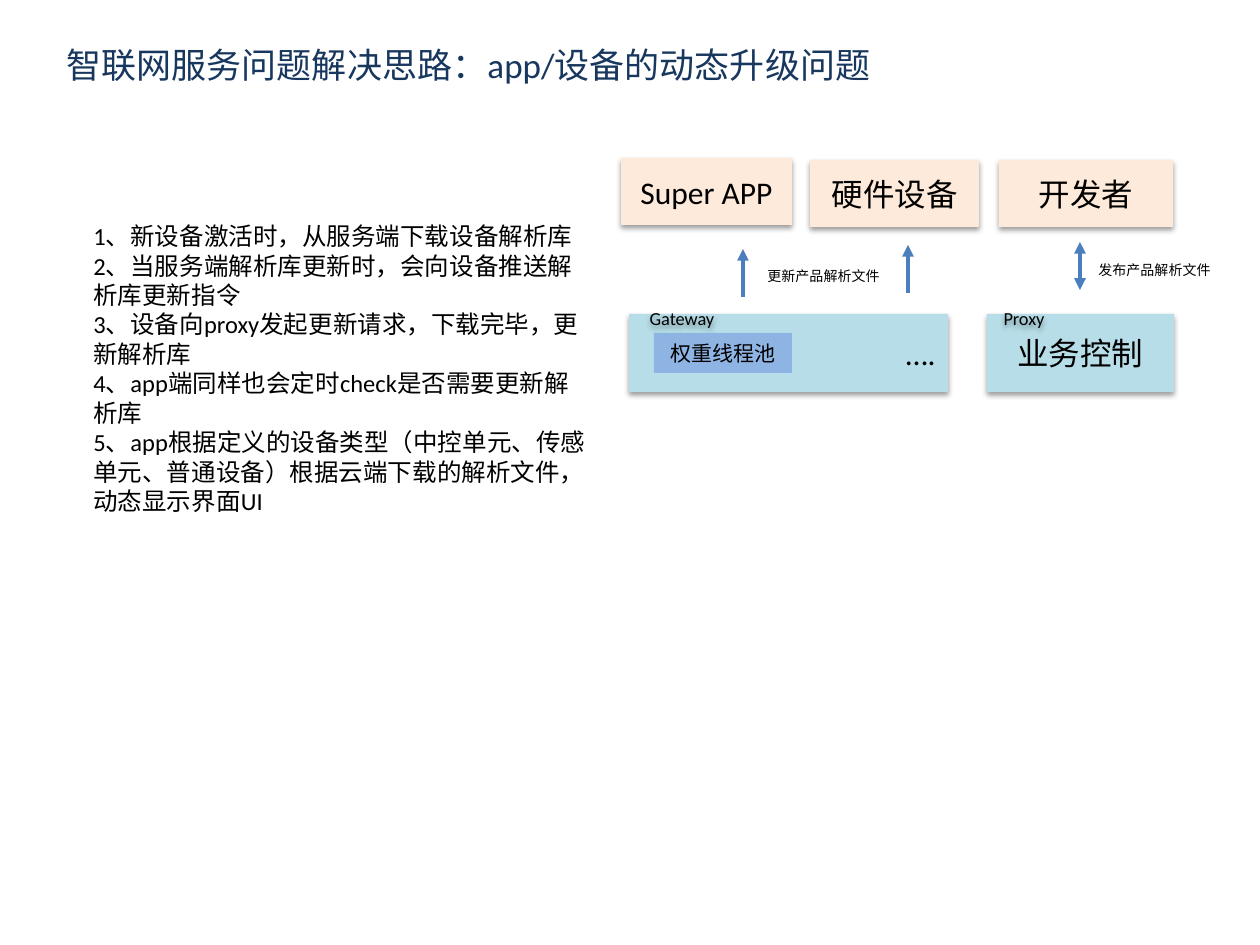
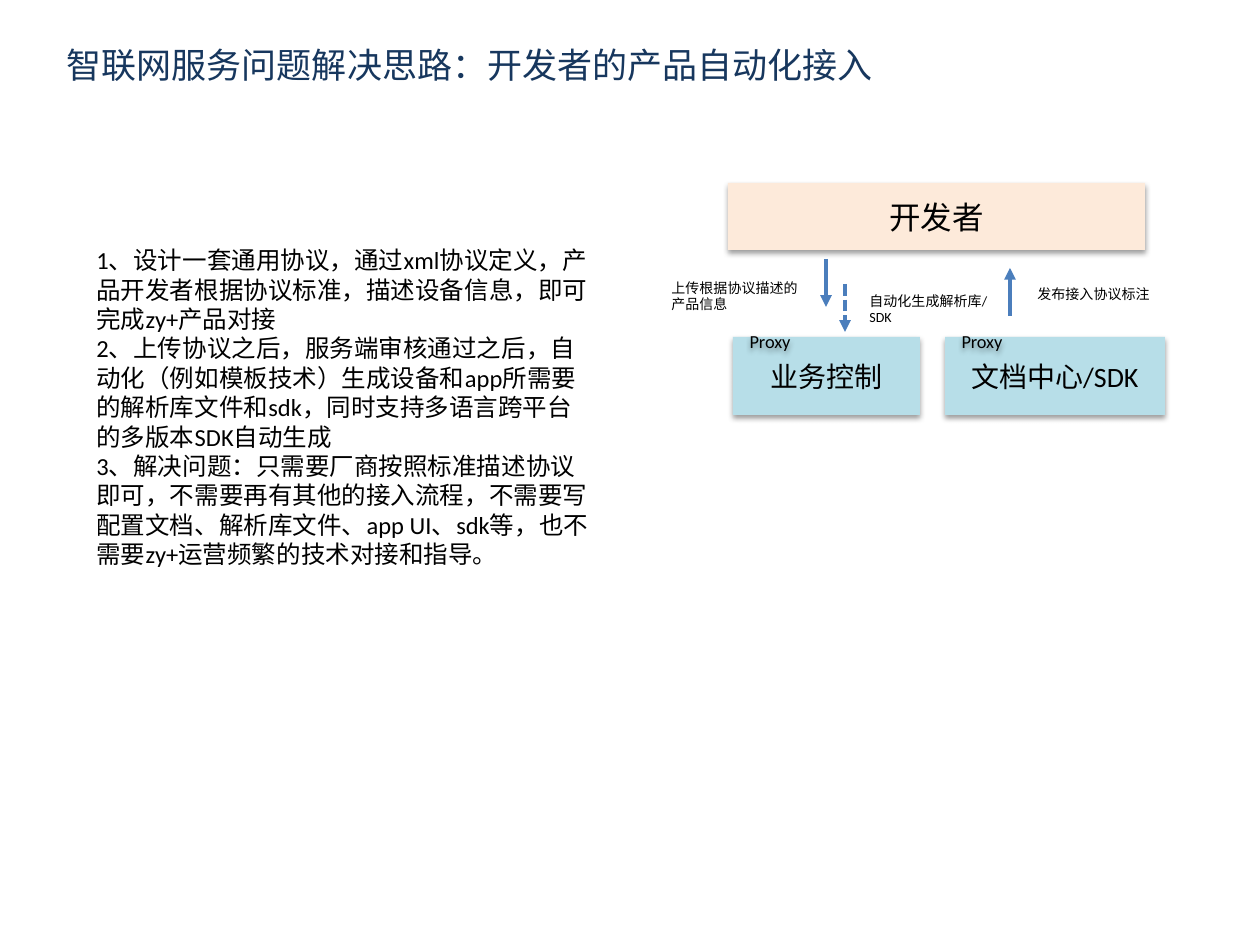
import pptx
import pptx.util
import pptx.dml.color
import pptx.enum.dml
import pptx.enum.lang
import pptx.enum.shapes
import pptx.enum.text
import pptx.oxml
import pptx.oxml.ns

EMU_PER_PX = 914400 / 126
NAVY, BLACK, BLUE = "17375E", "000000", "4B7EBC"
PEACH, TEAL, PERIWINKLE = "FDEADA", "B7DEE8", "8EB4E3"
ALIGN = pptx.enum.text.PP_ALIGN
ANCHOR = pptx.enum.text.MSO_ANCHOR
TITLE_PREFIX = "智联网服务问题解决思路："


def px(length):
    return pptx.util.Emu(round(length * EMU_PER_PX))


def color(value):
    return pptx.dml.color.RGBColor.from_string(value)


def set_values(target, values):
    for name, value in values.items():
        setattr(target, name, value)


def place(shape, left, top, width, height):
    set_values(shape, {"left": px(left), "top": px(top), "width": px(width), "height": px(height)})


def write(shape, lines, size, text_color=BLACK, align=ALIGN.LEFT, anchor=ANCHOR.TOP):
    frame = shape.text_frame
    set_values(frame, {
        "word_wrap": True,
        "auto_size": pptx.enum.text.MSO_AUTO_SIZE.NONE,
        "vertical_anchor": anchor,
        "text": "\n".join(lines),
    })
    for paragraph in frame.paragraphs:
        paragraph.alignment = align
        for run in paragraph.runs:
            set_values(run.font, {
                "name": "Calibri",
                "size": pptx.util.Pt(size),
                "language_id": pptx.enum.lang.MSO_LANGUAGE_ID.SIMPLIFIED_CHINESE,
            })
            run.font.color.rgb = color(text_color)


def add_shadow(shape):
    shape.shadow.inherit = False
    effects = shape._element.spPr.find(pptx.oxml.ns.qn("a:effectLst"))
    effects.append(pptx.oxml.parse_xml(
        f'<a:outerShdw {pptx.oxml.ns.nsdecls("a")} blurRad="40000" dist="20000" dir="5400000" rotWithShape="0">'
        '<a:srgbClr val="000000"><a:alpha val="38000"/></a:srgbClr></a:outerShdw>'))


def add_titled_slide(presentation, topic, width):
    slide = presentation.slides.add_slide(presentation.slide_layouts[5])
    title = slide.shapes.title
    place(title, 54, 37, width, 64)
    write(title, [TITLE_PREFIX + topic], 20, NAVY)
    return slide


def add_text(shapes, lines, box, size, **layout):
    shape = shapes.add_textbox(*map(px, box))
    write(shape, lines, size, **layout)
    return shape


def add_box(shapes, text, box, fill, size=18, align=ALIGN.CENTER, shadow=True):
    shape = shapes.add_shape(pptx.enum.shapes.MSO_SHAPE.RECTANGLE, *map(px, box))
    shape.shadow.inherit = False
    shape.fill.solid()
    shape.fill.fore_color.rgb = color(fill)
    shape.line.fill.background()
    write(shape, [text], size, align=align, anchor=ANCHOR.MIDDLE)
    if shadow:
        add_shadow(shape)


def add_service(slide, name, text, left, top, width, label_offset=-5, label_width=84, **style):
    group = slide.shapes.add_group_shape()
    add_box(group.shapes, text, (left, top, width, 78), TEAL, **style)
    label_box = (left + label_offset, top - 11, label_width, 30)
    label = add_text(group.shapes, [name], label_box, 10.5, align=ALIGN.CENTER, anchor=ANCHOR.MIDDLE)
    add_shadow(label)


def add_arrow(slide, x, top, ends, dash=None):
    arrow = slide.shapes.add_connector(
        pptx.enum.shapes.MSO_CONNECTOR.STRAIGHT, px(x), px(top), px(x), px(top + 48))
    arrow.line.width = pptx.util.Pt(2.25)
    arrow.line.color.rgb = color(BLUE)
    if dash:
        arrow.line.dash_style = dash
    properties = arrow._element.spPr
    line = properties.find(pptx.oxml.ns.qn("a:ln"))
    for end in ends:
        pptx.oxml.xmlchemy.OxmlElement
        line.append(pptx.oxml.parse_xml(f'<a:{end} {pptx.oxml.ns.nsdecls("a")} type="triangle"/>'))
    properties.append(pptx.oxml.parse_xml(f'<a:effectLst {pptx.oxml.ns.nsdecls("a")}/>'))


def add_caption(slide, text, left, top, height=30):
    add_text(slide.shapes, [text], (left, top, 154, height), 8)


def build_upgrade_slide(presentation):
    slide = add_titled_slide(presentation, "app/设备的动态升级问题", 932)
    add_text(slide.shapes, [
        "1、新设备激活时，从服务端下载设备解析库",
        "2、当服务端解析库更新时，会向设备推送解析库更新指令",
        "3、设备向proxy发起更新请求，下载完毕，更新解析库",
        "4、app端同样也会定时check是否需要更新解析库",
        "5、app根据定义的设备类型（中控单元、传感单元、普通设备）根据云端下载的解析文件，动态显示界面UI",
    ], (81, 215, 525, 310), 14)
    for text, left, top, width in (
        ("Super APP", 621, 158, 171),
        ("硬件设备", 810, 160, 169),
        ("开发者", 999, 160, 174),
    ):
        add_box(slide.shapes, text, (left, top, width, 67), PEACH)
    add_service(slide, "Proxy", "业务控制", 987, 314, 187)
    add_service(slide, "Gateway", "….", 629, 314, 319, -8, 122, align=ALIGN.RIGHT)
    add_box(slide.shapes, "权重线程池", (654, 333, 138, 40), PERIWINKLE, 12, shadow=False)
    add_arrow(slide, 743, 249, ["headEnd"])
    add_arrow(slide, 908, 245, ["headEnd"])
    add_arrow(slide, 1080, 242, ["headEnd", "tailEnd"])
    add_caption(slide, "更新产品解析文件", 755, 261)
    add_caption(slide, "发布产品解析文件", 1086, 255)


def build_onboarding_slide(presentation):
    slide = add_titled_slide(presentation, "开发者的产品自动化接入", 873)
    add_text(slide.shapes, [
        "1、设计一套通用协议，通过xml协议定义，产品开发者根据协议标准，描述设备信息，即可完成zy+产品对接",
        "2、上传协议之后，服务端审核通过之后，自动化（例如模板技术）生成设备和app所需要的解析库文件和sdk，同时支持多语言跨平台的多版本SDK自动生成",
        "3、解决问题：只需要厂商按照标准描述协议即可，不需要再有其他的接入流程，不需要写配置文档、解析库文件、app UI、sdk等，也不需要zy+运营频繁的技术对接和指导。",
    ], (84, 239, 525, 339), 14)
    add_box(slide.shapes, "开发者", (728, 183, 417, 67), PEACH)
    add_service(slide, "Proxy", "业务控制", 733, 337, 187, size=16)
    add_service(slide, "Proxy", "文档中心/SDK", 945, 337, 220, size=16)
    add_arrow(slide, 826, 259, ["tailEnd"])
    add_arrow(slide, 845, 284, ["tailEnd"], pptx.enum.dml.MSO_LINE.SQUARE_DOT)
    add_arrow(slide, 1010, 268, ["headEnd"])
    add_caption(slide, "上传根据协议描述的产品信息", 659, 273, 47)
    add_caption(slide, "自动化生成解析库/SDK", 857, 286, 47)
    add_caption(slide, "发布接入协议标注", 1025, 279)


def main():
    presentation = pptx.Presentation()
    set_values(presentation, {"slide_width": px(1260), "slide_height": px(945)})
    build_upgrade_slide(presentation)
    build_onboarding_slide(presentation)
    presentation.save("out.pptx")


if __name__ == "__main__":
    main()
